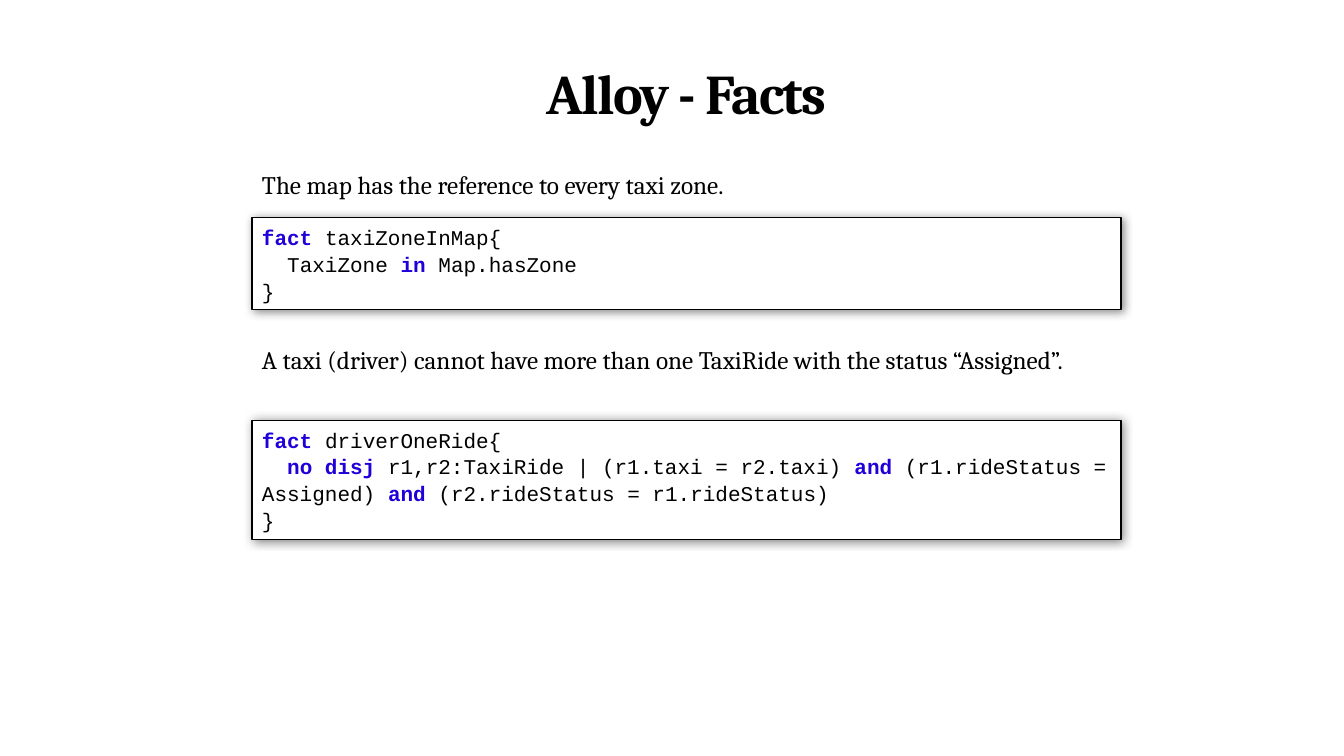
from dataclasses import dataclass

from lxml import etree
from pptx import Presentation
from pptx import util as u
from pptx.dml.color import RGBColor
from pptx.enum import shapes, text
from pptx.oxml import ns

TITLE = "Alloy - Facts"

# Each code line is (indent in characters, [(words, is keyword), ...]).
FACTS = [
    {
        "rule": "The map has the reference to every taxi zone.",
        "code": [
            (0, [("fact ", True), ("taxiZoneInMap{", False)]),
            (2, [("TaxiZone ", False), ("in ", True), ("Map.hasZone", False)]),
            (0, [("}", False)]),
        ],
        "rule_rows": (1.63, 0.4),
        "code_rows": (2.16, 0.91),
    },
    {
        "rule": "A taxi (driver) cannot have more than one TaxiRide with the status “Assigned”.",
        "code": [
            (0, [("fact ", True), ("driverOneRide{", False)]),
            (2, [("no disj", True),
                 (" r1,r2:TaxiRide | (r1.taxi = r2.taxi) ", False),
                 ("and", True),
                 (" (r1.rideStatus = Assigned) ", False),
                 ("and", True),
                 (" (r2.rideStatus = r1.rideStatus)", False)]),
            (0, [("}", False)]),
        ],
        "rule_rows": (3.37, 0.71),
        "code_rows": (4.17, 1.18),
    },
]


@dataclass(frozen=True)
class Theme:
    ink: str = "000000"
    keyword: str = "1F00DA"
    paper: str = "FFFFFF"
    prose_font: str = "Cambria"
    code_font: str = "Courier New"
    title_size: int = 40
    rule_size: int = 18
    code_size: int = 15
    char_width: float = 0.6  # share of the code size


THEME = Theme()
SLIDE_WIDTH, SLIDE_HEIGHT = 13.33, 7.5
COLUMN_LEFT, COLUMN_WIDTH = 2.5, 8.62
TITLE_ROWS = (0.61, 1.12)


def column_area(rows):
    top, height = rows
    return [u.Inches(n) for n in (COLUMN_LEFT, top, COLUMN_WIDTH, height)]


def write(para, words, *, size, font, color=THEME.ink, bold=False, tracking=None):
    span = para.add_run()
    span.text = words
    span.font.size = u.Pt(size)
    span.font.name = font
    span.font.bold = bold
    span.font.color.rgb = RGBColor.from_string(color)
    if tracking is not None:
        span.font._element.set("spc", str(round(tracking * 100)))


def add_prose(page, words, rows, *, align=None, line_spacing=None, **style):
    frame = page.shapes.add_textbox(*column_area(rows)).text_frame
    frame.word_wrap = True
    para = frame.paragraphs[0]
    para.alignment = align
    para.line_spacing = line_spacing
    write(para, words, font=THEME.prose_font, **style)


def add_soft_shadow(box):
    effects = etree.SubElement(box._element.spPr, ns.qn("a:effectLst"))
    shadow = etree.SubElement(effects, ns.qn("a:outerShdw"), blurRad=str(u.Pt(7)),
                              dist=str(u.Pt(1)), dir="2700000", algn="ctr", rotWithShape="0")
    color = etree.SubElement(shadow, ns.qn("a:srgbClr"), val=THEME.ink)
    etree.SubElement(color, ns.qn("a:alpha"), val="45000")


def add_code(page, lines, rows):
    box = page.shapes.add_shape(shapes.MSO_SHAPE.RECTANGLE, *column_area(rows))
    box.fill.solid()
    box.fill.fore_color.rgb = RGBColor.from_string(THEME.paper)
    box.line.color.rgb = RGBColor.from_string(THEME.ink)
    box.line.width = u.Pt(1)
    add_soft_shadow(box)
    frame = box.text_frame
    frame.word_wrap = True
    frame.vertical_anchor = text.MSO_ANCHOR.TOP
    for number, (indent, spans) in enumerate(lines):
        para = frame.add_paragraph() if number else frame.paragraphs[0]
        para.alignment = text.PP_ALIGN.LEFT
        para.line_spacing = 1.07
        if indent:
            first_line = u.Pt(indent * THEME.char_width * THEME.code_size)
            para._p.get_or_add_pPr().set("indent", str(first_line))
        for words, is_keyword in spans:
            write(para, words, size=THEME.code_size, font=THEME.code_font, bold=is_keyword,
                  color=THEME.keyword if is_keyword else THEME.ink)


def main():
    deck = Presentation()
    deck.slide_width = u.Inches(SLIDE_WIDTH)
    deck.slide_height = u.Inches(SLIDE_HEIGHT)
    page = deck.slides.add_slide(deck.slide_layouts[6])
    add_prose(page, TITLE, TITLE_ROWS, align=text.PP_ALIGN.CENTER, line_spacing=0.9,
              size=THEME.title_size, bold=True, tracking=-1.1)
    for fact in FACTS:
        add_prose(page, fact["rule"], fact["rule_rows"], size=THEME.rule_size)
        add_code(page, fact["code"], fact["code_rows"])
    deck.save("out.pptx")


if __name__ == "__main__":
    main()
